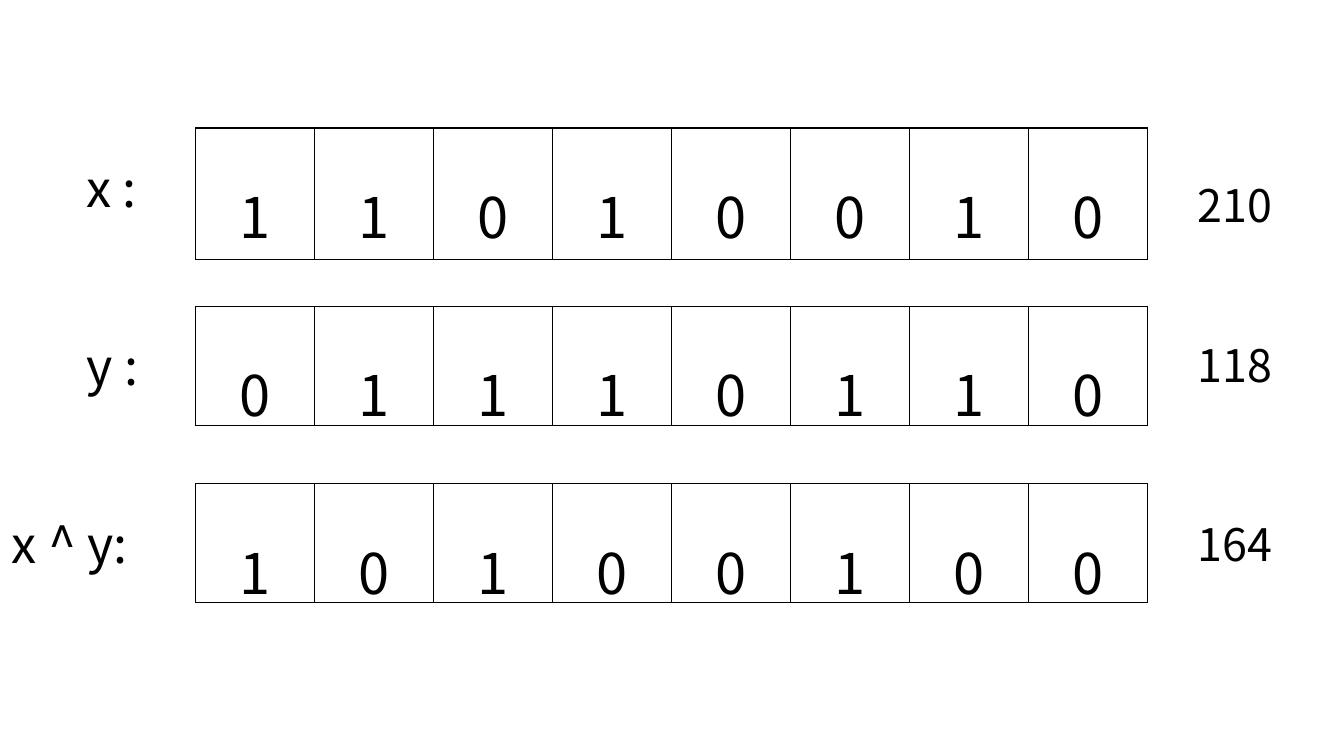
import lxml.etree
import pptx
import pptx.dml.color
import pptx.enum.text
import pptx.oxml.ns
import pptx.util

Inches = pptx.util.Inches
Pt = pptx.util.Pt
COLORS = {"ink": "000000"}
FONT = "Noto Sans CJK JP"


class Deck:
    def __init__(self):
        self.prs = pptx.Presentation()
        self.prs.slide_width = Inches(13.33)
        self.prs.slide_height = Inches(7.5)
        self.slide = self.prs.slides.add_slide(self.prs.slide_layouts[6])

    def add_text(self, para, text, size):
        run = para.add_run()
        run.text = text
        run.font.name = FONT
        run.font.size = Pt(size)
        run.font.bold = False
        run.font.color.rgb = pptx.dml.color.RGBColor.from_string(COLORS["ink"])

    def label(self, text, left, top, width, height, size):
        box = self.slide.shapes.add_textbox(
            Inches(left), Inches(top), Inches(width), Inches(height))
        box.text_frame.word_wrap = True
        self.add_text(box.text_frame.paragraphs[0], text, size)

    def border(self, cell):
        props = cell._tc.get_or_add_tcPr()
        qn = pptx.oxml.ns.qn
        for side in ("lnL", "lnR", "lnT", "lnB"):
            line = lxml.etree.SubElement(props, qn(f"a:{side}"), w=str(Pt(1)))
            fill = lxml.etree.SubElement(line, qn("a:solidFill"))
            lxml.etree.SubElement(fill, qn("a:srgbClr"), val=COLORS["ink"])

    def bits(self, digits, left, top, side, foot):
        frame = self.slide.shapes.add_table(
            1, len(digits), Inches(left), Inches(top),
            Inches(side * len(digits)), Inches(side))
        table = frame.table
        table.first_row = False
        table.horz_banding = False
        for col, digit in enumerate(digits):
            table.columns[col].width = Inches(side)
            cell = table.cell(0, col)
            cell.margin_bottom = Inches(foot)
            self.border(cell)
            cell.fill.background()
            para = cell.text_frame.paragraphs[0]
            para.alignment = pptx.enum.text.PP_ALIGN.CENTER
            para.line_spacing = 1.5
            self.add_text(para, digit, 40)


def main():
    deck = Deck()
    # Each row: name, its left and width, bits, value, value top, cell foot
    rows = [
        ("x :", 0.76, 0.98, "11010010", "210", 1.71, 0.05),
        ("y :", 0.76, 0.98, "01110110", "118", 3.3, 0.05),
        ("x ^ y:", 0.02, 2.04, "10100100", "164", 5.08, 0),
    ]
    # Bit row with its name on the left and its value on the right
    for i, (name, left, width, digits, value, level, foot) in enumerate(rows):
        top = round(1.27 + 1.765 * i, 2)
        deck.bits(digits, 1.94, top, 1.18, foot)
        deck.label(name, left, top + 0.24, width, 0.71, 36)
        deck.label(value, 11.78, level, 0.99, 0.64, 32)
    deck.prs.save("out.pptx")


if __name__ == "__main__":
    main()
